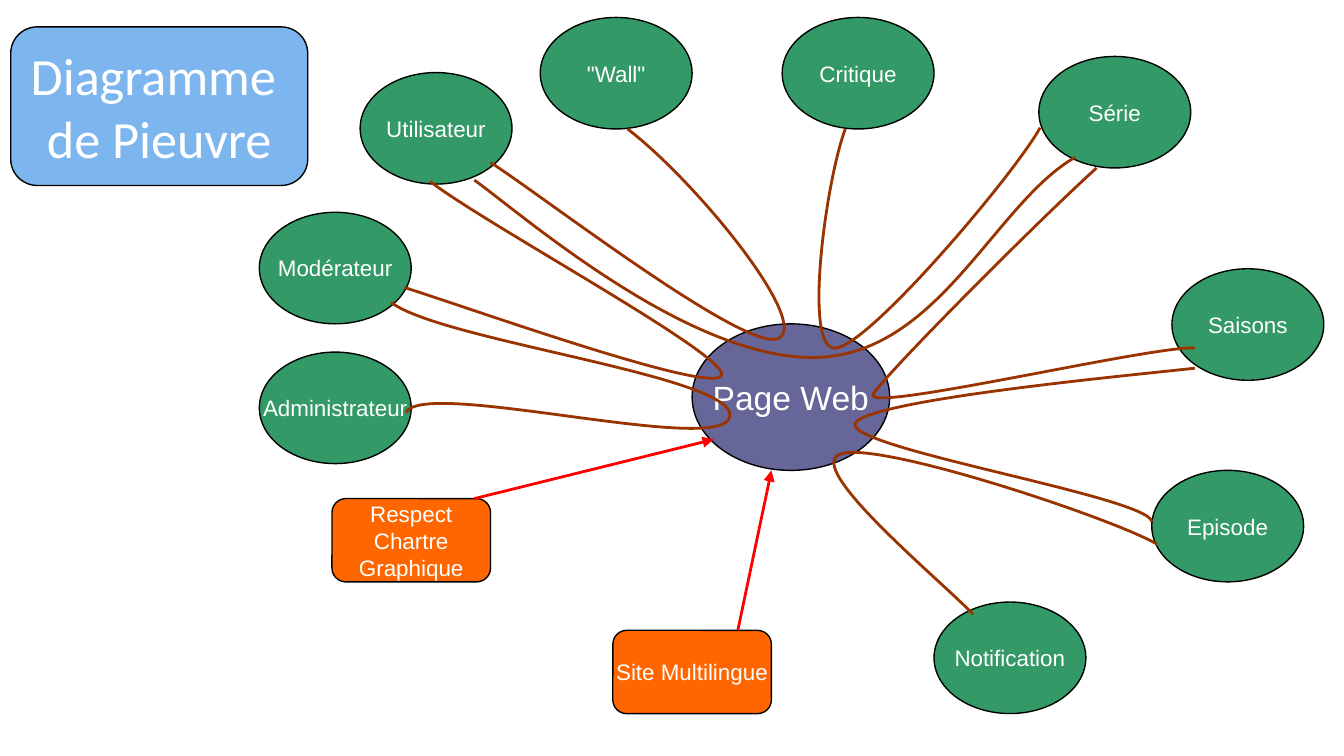
from dataclasses import dataclass

from lxml import etree
from pptx import Presentation
from pptx.dml.color import RGBColor
from pptx.enum.shapes import MSO_CONNECTOR, MSO_SHAPE
from pptx.enum.text import MSO_ANCHOR, PP_ALIGN
from pptx.oxml.ns import qn
from pptx.util import Inches, Pt


@dataclass(frozen=True)
class Theme:
    title_fill: str = "7DB6EF"
    hub_fill: str = "666699"
    feature_fill: str = "339966"
    constraint_fill: str = "FF6600"
    outline: str = "000000"
    tentacle: str = "993300"
    arrow: str = "FF0000"
    text: str = "FFFFFF"
    body_font: str = "Arial"
    title_font: str = "Calibri"
    title_size: int = 28
    hub_size: int = 18
    label_size: int = 12
    outline_width: float = 0.75
    link_width: float = 1.5


class Diagram:
    def __init__(self, slide, theme):
        self.slide = slide
        self.theme = theme

    def stroke(self, line, color, width):
        line.color.rgb = RGBColor.from_string(color)
        line.width = Pt(width)

    def node(self, kind, box, text, fill, size, font=None):
        sp = self.slide.shapes.add_shape(kind, *map(Inches, box))
        sp.shadow.inherit = False
        sp.fill.solid()
        sp.fill.fore_color.rgb = RGBColor.from_string(fill)
        self.stroke(sp.line, self.theme.outline, self.theme.outline_width)
        tf = sp.text_frame
        tf.text = text
        tf.word_wrap = False
        tf.vertical_anchor = MSO_ANCHOR.MIDDLE
        for p in tf.paragraphs:
            p.alignment = PP_ALIGN.CENTER
            for r in p.runs:
                r.font.name = font or self.theme.body_font
                r.font.size = Pt(size)
                r.font.color.rgb = RGBColor.from_string(self.theme.text)

    def tentacle(self, points):
        points = [(Inches(x), Inches(y)) for x, y in points]
        builder = self.slide.shapes.build_freeform(*points[0])
        builder.add_line_segments(points[1:], close=False)
        sp = builder.convert_to_shape()
        sp.shadow.inherit = False
        sp.fill.background()
        self.stroke(sp.line, self.theme.tentacle, self.theme.link_width)
        segments = list(sp.element.iter(qn("a:lnTo")))
        outline = segments[0].getparent()
        for i in range(0, len(segments), 3):
            curve = etree.SubElement(outline, qn("a:cubicBezTo"))
            for segment in segments[i:i + 3]:
                curve.append(segment[0])
                outline.remove(segment)

    def arrow(self, start, end):
        c = self.slide.shapes.add_connector(
            MSO_CONNECTOR.STRAIGHT, *map(Inches, start + end))
        self.stroke(c.line, self.theme.arrow, self.theme.link_width)
        properties = c.element.spPr
        etree.SubElement(properties.find(qn("a:ln")), qn("a:tailEnd"), type="triangle")
        etree.SubElement(properties, qn("a:effectLst"))


FEATURE_SIZE = (1.13, 0.83)
FEATURES = [
    ("Administrateur", 1.93, 2.62),
    ("Utilisateur", 2.68, 0.54),
    ("Modérateur", 1.93, 1.58),
    ("Série", 7.73, 0.42),
    ("Episode", 8.57, 3.5),
    ("Critique", 5.82, 0.13),
    ("Notification", 6.95, 4.48),
    ("Saisons", 8.72, 2),
    ('"Wall"', 4.02, 0.13),
]
CONSTRAINT_SIZE = (1.18, 0.62)
CONSTRAINTS = [
    ("Respect\nChartre\nGraphique", 2.47, 3.71),
    ("Site Multilingue", 4.56, 4.69),
]
TENTACLES = [
    [(3.65, 1.21), (4.04, 1.46), (5.54, 2.62), (5.79, 2.52),
     (6.04, 2.41), (5.19, 1.36), (4.67, 0.96)],
    [(3.53, 1.34), (3.89, 1.6), (5.08, 2.64), (6.02, 2.66),
     (6.97, 2.68), (7.39, 1.52), (8, 1.17)],
    [(6.29, 0.96), (6.15, 1.33), (5.98, 2.55), (6.2, 2.59),
     (6.42, 2.63), (7.54, 1.31), (7.74, 0.95)],
    [(2.91, 2.25), (3.29, 2.54), (5.49, 2.8), (5.43, 3.1),
     (5.38, 3.4), (3.15, 2.81), (3.02, 3.07)],
    [(8.16, 1.25), (7.78, 1.59), (6.61, 2.76), (6.5, 2.93),
     (6.38, 3.09), (8.57, 2.57), (8.89, 2.59)],
    [(8.89, 2.74), (8.34, 2.8), (6.54, 2.97), (6.37, 3.14),
     (6.2, 3.32), (8.53, 3.69), (8.57, 3.88)],
    [(7.24, 4.57), (6.99, 4.31), (5.98, 3.48), (6.25, 3.38),
     (6.52, 3.27), (8.29, 3.86), (8.61, 4.05)],
    [(3.01, 2.14), (3.52, 2.3), (5.33, 2.95), (5.37, 2.79),
     (5.41, 2.64), (3.63, 1.68), (3.2, 1.35)],
]
ARROWS = [((3.53, 3.71), (5.31, 3.27)), ((5.49, 4.69), (5.74, 3.5))]


def main():
    prs = Presentation()
    prs.slide_width = Inches(10)
    prs.slide_height = prs.slide_width * 9 // 16
    theme = Theme()
    d = Diagram(prs.slides.add_slide(prs.slide_layouts[6]), theme)

    d.node(MSO_SHAPE.OVAL, (5.15, 2.41, 1.47, 1.09), "Page Web",
           theme.hub_fill, theme.hub_size)
    for label, x, y in FEATURES:
        d.node(MSO_SHAPE.OVAL, (x, y, *FEATURE_SIZE), label,
               theme.feature_fill, theme.label_size)
    for points in TENTACLES[:-1]:
        d.tentacle(points)
    for label, x, y in CONSTRAINTS:
        d.node(MSO_SHAPE.ROUNDED_RECTANGLE, (x, y, *CONSTRAINT_SIZE), label,
               theme.constraint_fill, theme.label_size)
    for start, end in ARROWS:
        d.arrow(start, end)
    d.tentacle(TENTACLES[-1])
    d.node(MSO_SHAPE.ROUNDED_RECTANGLE, (0.08, 0.2, 2.21, 1.18),
           "Diagramme \nde Pieuvre", theme.title_fill, theme.title_size,
           theme.title_font)

    prs.save("out.pptx")


if __name__ == "__main__":
    main()
